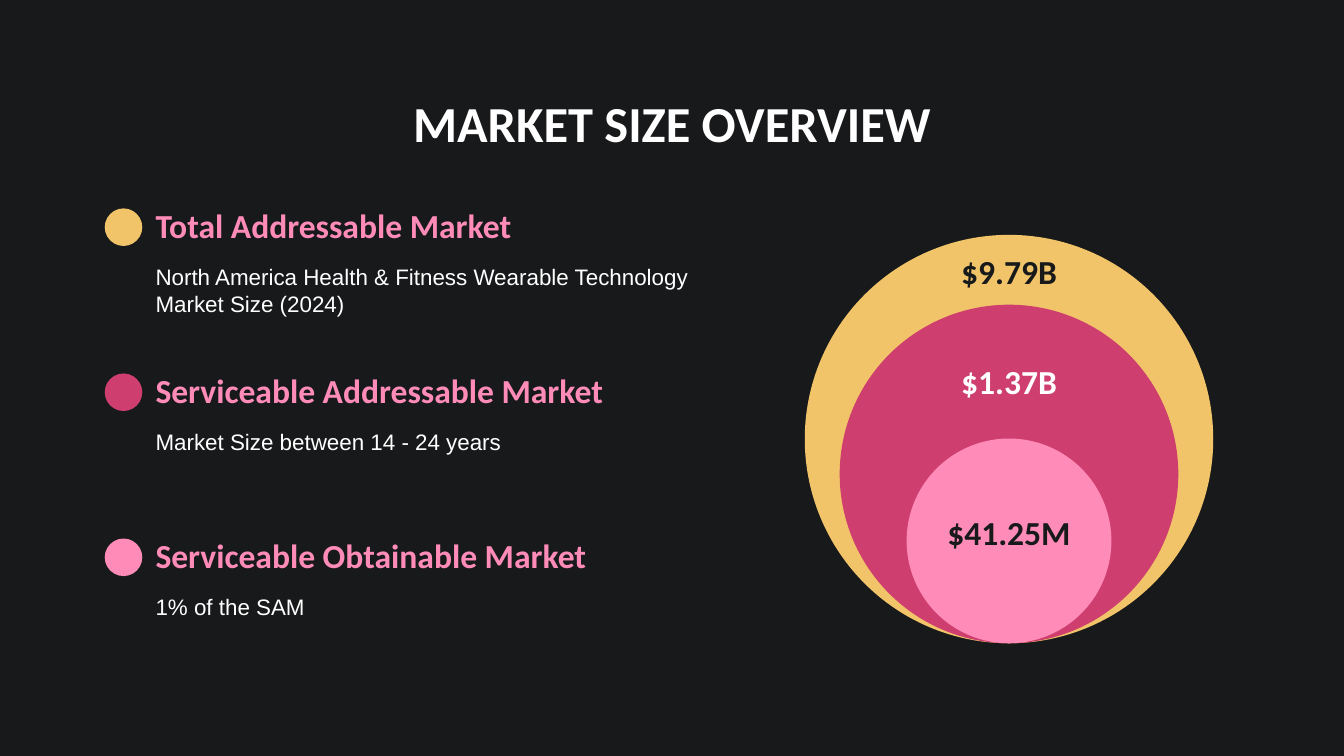
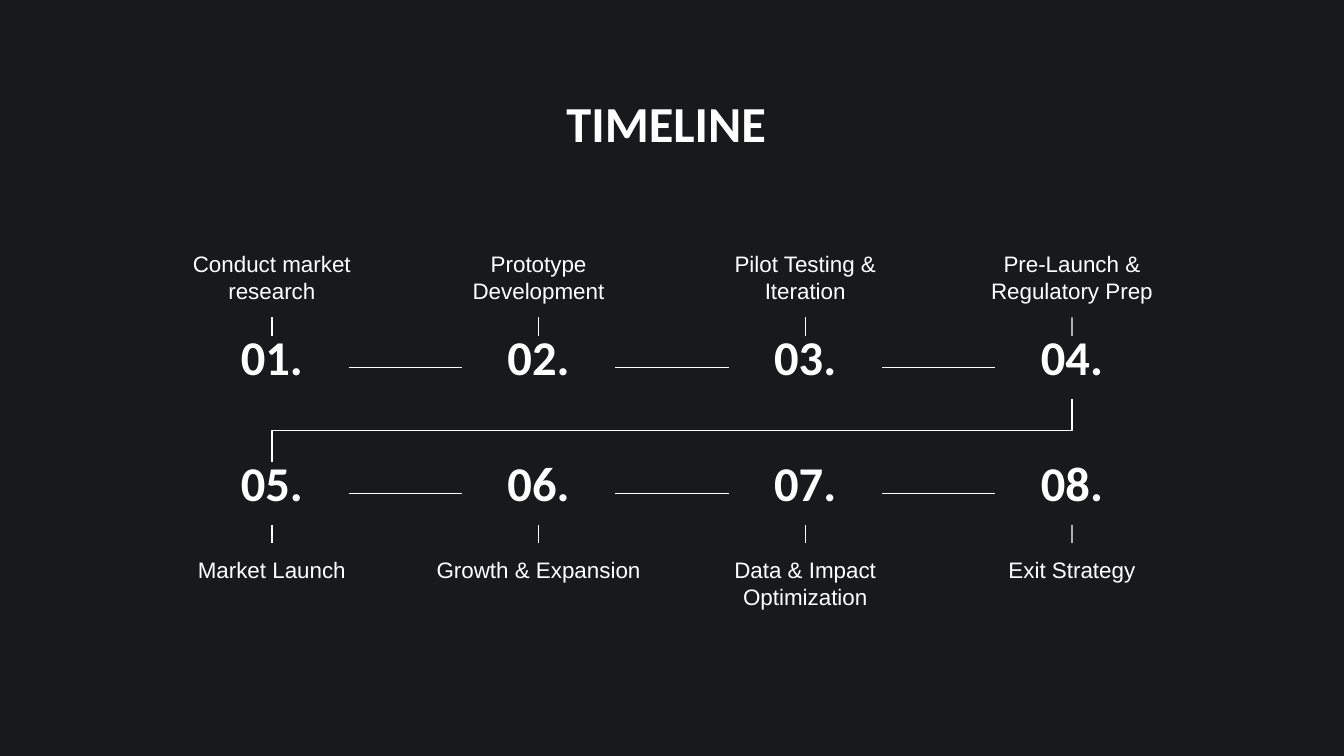
import lxml.etree
import pptx
import pptx.dml.color
import pptx.enum.shapes
import pptx.enum.text
import pptx.oxml.ns
import pptx.util

Cm = pptx.util.Cm
Pt = pptx.util.Pt
RGB = pptx.dml.color.RGBColor.from_string
ALIGN = pptx.enum.text.PP_ALIGN
ANCHOR = pptx.enum.text.MSO_ANCHOR
LINK = pptx.enum.shapes.MSO_CONNECTOR
OVAL = pptx.enum.shapes.MSO_SHAPE.OVAL

# Theme: colours and type styles
DARK, WHITE, GOLD, ROSE, PINK = map(RGB, ["18191A", "FFFFFF", "F1C469", "CE3E6E", "FF8CB8"])
THEME = {
    "title": {"name": "Calibri", "size": Pt(27), "bold": True},
    "number": {"name": "Calibri", "size": Pt(26), "bold": True},
    "heading": {"name": "Calibri", "size": Pt(18), "bold": True},
    "body": {"name": "Arial", "size": Pt(12), "bold": False},
    "line": Pt(0.75),
}
TOP, LEFT, BOTTOM, RIGHT = range(4)


def add_text(s, text, box, style, color=WHITE, align=ALIGN.CENTER, anchor=ANCHOR.TOP):
    sp = s.shapes.add_textbox(*map(Cm, box))
    tf = sp.text_frame
    frame = {"word_wrap": True, "vertical_anchor": anchor}
    frame |= {f"margin_{side}": Cm(0.25) for side in ("left", "top", "right", "bottom")}
    for key, value in frame.items():
        setattr(tf, key, value)
    p = tf.paragraphs[0]
    p.alignment = align
    r = p.add_run()
    r.text = text
    for key, value in THEME[style].items():
        setattr(r.font, key, value)
    r.font.color.rgb = color
    return sp


def join(s, a, a_side, b, b_side, kind=LINK.STRAIGHT):
    c = s.shapes.add_connector(kind, 0, 0, 0, 0)
    c.begin_connect(a, a_side)
    c.end_connect(b, b_side)
    c.line.color.rgb = WHITE
    c.line.width = THEME["line"]
    lxml.etree.SubElement(c._element.spPr, pptx.oxml.ns.qn("a:effectLst"))
    return c


prs = pptx.Presentation()
prs.slide_width, prs.slide_height = Cm(25.4), Cm(14.29)

# Slides with the shared background and title
slides = []
for title in ("MARKET SIZE OVERVIEW", "TIMELINE "):
    s = prs.slides.add_slide(prs.slide_layouts[6])
    s.background.fill.solid()
    s.background.fill.fore_color.rgb = DARK
    add_text(s, title, (2, 1.5, 21.4, 1.6), "title")
    slides.append(s)
market, timeline = slides

# Market size: nested circles resting on one point, and legend dots
center, base = 19.07, 12.16
circles = [(center - d / 2, base - d, d, color)
           for d, color in ((7.72, GOLD), (6.4, ROSE), (3.87, PINK))]
legend_top, legend_step = 3.71, 3.12
dots = [(1.98, legend_top + 0.23 + i * legend_step, 0.71, color)
        for i, color in enumerate((GOLD, ROSE, PINK))]
for x, y, d, color in circles + dots:
    sp = market.shapes.add_shape(OVAL, Cm(x), Cm(y), Cm(d), Cm(d))
    sp.shadow.inherit = False
    sp.fill.solid()
    sp.fill.fore_color.rgb = color
    sp.line.fill.background()

# Market size: values in the circles
for value, y, color in (("$9.79B", 4.5, DARK), ("$1.37B", 6.58, WHITE), ("$41.25M", 9.42, DARK)):
    add_text(market, value, (center - 1.77, y, 3.54, 1.27), "heading", color)

# Market size: legend text
legend = [
    ("Total Addressable Market",
     "North America Health & Fitness Wearable Technology Market Size (2024)"),
    ("Serviceable Addressable Market", "Market Size between 14 - 24 years"),
    ("Serviceable Obtainable Market", "1% of the SAM"),
]
for i, (heading, body) in enumerate(legend):
    y = legend_top + i * legend_step
    add_text(market, heading, (2.69, y, 11.89, 1.17), "heading", PINK, ALIGN.LEFT, ANCHOR.BOTTOM)
    add_text(market, body, (2.69, y + 1.02, 11.89, 1.83), "body", align=ALIGN.LEFT)

# Timeline: two rows of four steps, labels above the first and below the second
rows = [
    (6.35, 3.76, ANCHOR.BOTTOM, TOP, BOTTOM,
     ["Conduct market research", "Prototype Development",
      "Pilot Testing & Iteration", "Pre-Launch & Regulatory Prep"]),
    (8.73, 10.26, ANCHOR.TOP, BOTTOM, TOP,
     ["Market Launch", "Growth & Expansion", "Data & Impact Optimization", "Exit Strategy"]),
]
step, num_w, num_h, label_w, label_h = 5.04, 2.9, 1.19, 4.7, 2.24
numbers = []
for num_y, label_y, anchor, num_side, label_side, labels in rows:
    for i, text in enumerate(labels):
        x = 12.7 + (i - 1.5) * step
        label = add_text(timeline, text, (x - label_w / 2, label_y, label_w, label_h),
                         "body", anchor=anchor)
        number = add_text(timeline, f"{len(numbers) + 1:02}.",
                          (x - num_w / 2, num_y, num_w, num_h), "number", anchor=ANCHOR.BOTTOM)
        join(timeline, number, num_side, label, label_side)
        if i:
            join(timeline, numbers[-1], RIGHT, number, LEFT)
        numbers.append(number)

# Timeline: elbow from the end of row one to the start of row two, turned a quarter
c = join(timeline, numbers[3], BOTTOM, numbers[4], TOP, LINK.ELBOW)
span, drop = c.width, c.height
turned = {"left": c.left + (span - drop) // 2, "top": c.top - (span - drop) // 2,
          "width": drop, "height": span}
for key, value in turned.items():
    setattr(c, key, value)
for key, value in {"rot": "5400000", "flipH": "0"}.items():
    c._element.spPr.xfrm.set(key, value)

prs.save("out.pptx")
